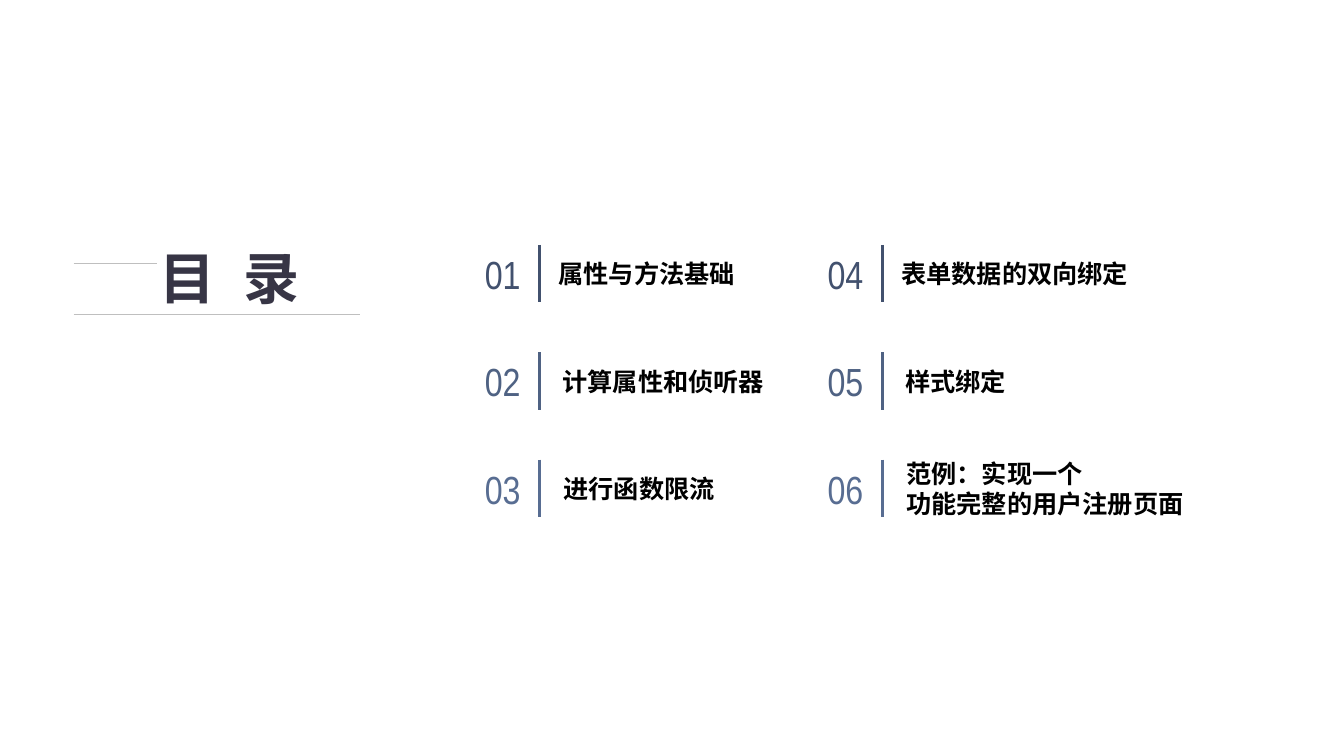
from lxml.etree import SubElement
from pptx import Presentation
from pptx.dml.color import RGBColor
from pptx.enum.shapes import MSO_CONNECTOR
from pptx.enum.text import MSO_ANCHOR, MSO_AUTO_SIZE, PP_ALIGN
from pptx.oxml.ns import qn
from pptx.util import Inches, Pt

TITLE = "目 录"
TOPICS = [
    ["属性与方法基础"],
    ["计算属性和侦听器"],
    ["进行函数限流"],
    ["表单数据的双向绑定"],
    ["样式绑定"],
    ["范例：实现一个", "功能完整的用户注册页面"],
]
TITLE_COLOR = RGBColor(0x37, 0x35, 0x45)
RULE_COLOR = RGBColor(0xBF, 0xBF, 0xBF)
BLACK = RGBColor(0, 0, 0)
ROW_COLORS = [
    RGBColor(0x42, 0x51, 0x6E),
    RGBColor(0x4F, 0x62, 0x83),
    RGBColor(0x58, 0x6D, 0x92),
]
LABEL_INDENTS = [0.09, 0.13, 0.14]
ROWS = len(ROW_COLORS)
LEFT, TOP = 4.71, 2.43
COLUMN_PITCH, ROW_PITCH = 3.4, 1.065
BAR_OFFSET, BAR_HEIGHT = 0.64, 0.57
NUMBER_WIDTH, NUMBER_HEIGHT = 0.56, 0.5
LABEL_WIDTH, LINE_HEIGHT = 3.95, 0.38


def add_line(slide, x1, y1, x2, y2, color, width):
    line = slide.shapes.add_connector(
        MSO_CONNECTOR.STRAIGHT, Inches(x1), Inches(y1), Inches(x2), Inches(y2))
    line.line.color.rgb = color
    line.line.width = Pt(width)
    SubElement(line._element.spPr, qn("a:effectLst"))


def write(box, lines, size, color, font="Arial", bold=False):
    frame = box.text_frame
    frame.text = "\n".join(lines)
    frame.word_wrap = True
    frame.auto_size = MSO_AUTO_SIZE.NONE
    frame.vertical_anchor = MSO_ANCHOR.MIDDLE
    frame.margin_right = 0
    for para in frame.paragraphs:
        para.alignment = PP_ALIGN.LEFT
        for span in para.runs:
            span.font.size = Pt(size)
            span.font.name = font
            span.font.bold = bold
            span.font.color.rgb = color


def add_text(slide, left, top, width, height, *style, **options):
    box = slide.shapes.add_textbox(
        Inches(left), Inches(top), Inches(width), Inches(height))
    write(box, *style, **options)


def add_title(slide):
    title = slide.shapes.title
    title.left, title.top = Inches(1.48), Inches(2.43)
    title.width, title.height = Inches(1.7), Inches(0.72)
    write(title, [TITLE], 40, TITLE_COLOR, bold=True)
    para = title.text_frame.paragraphs[0]
    para.line_spacing = 0.9
    para.runs[0].font._element.set("spc", "550")
    add_line(slide, 0.73, 2.61, 1.56, 2.61, RULE_COLOR, 0.5)
    add_line(slide, 0.73, 3.12, 3.57, 3.12, RULE_COLOR, 0.5)


def add_topic(slide, index, lines):
    column, row = divmod(index, ROWS)
    left, top = LEFT + column * COLUMN_PITCH, TOP + row * ROW_PITCH
    middle = top + BAR_HEIGHT / 2
    bar = left + BAR_OFFSET
    color = ROW_COLORS[row]
    add_text(slide, left, middle - NUMBER_HEIGHT / 2, NUMBER_WIDTH, NUMBER_HEIGHT,
             [f"{index + 1:02}"], 28, color, font="Arial Narrow")
    add_line(slide, bar, top, bar, top + BAR_HEIGHT, color, 2.25)
    height = LINE_HEIGHT * len(lines)
    add_text(slide, bar + LABEL_INDENTS[row], middle - height / 2, LABEL_WIDTH, height,
             lines, 18, BLACK, bold=True)


def main():
    deck = Presentation()
    deck.slide_width, deck.slide_height = Inches(13.33), Inches(7.5)
    page = deck.slides.add_slide(deck.slide_layouts[5])
    add_title(page)
    for index, lines in enumerate(TOPICS):
        add_topic(page, index, lines)
    deck.save("out.pptx")


if __name__ == "__main__":
    main()
